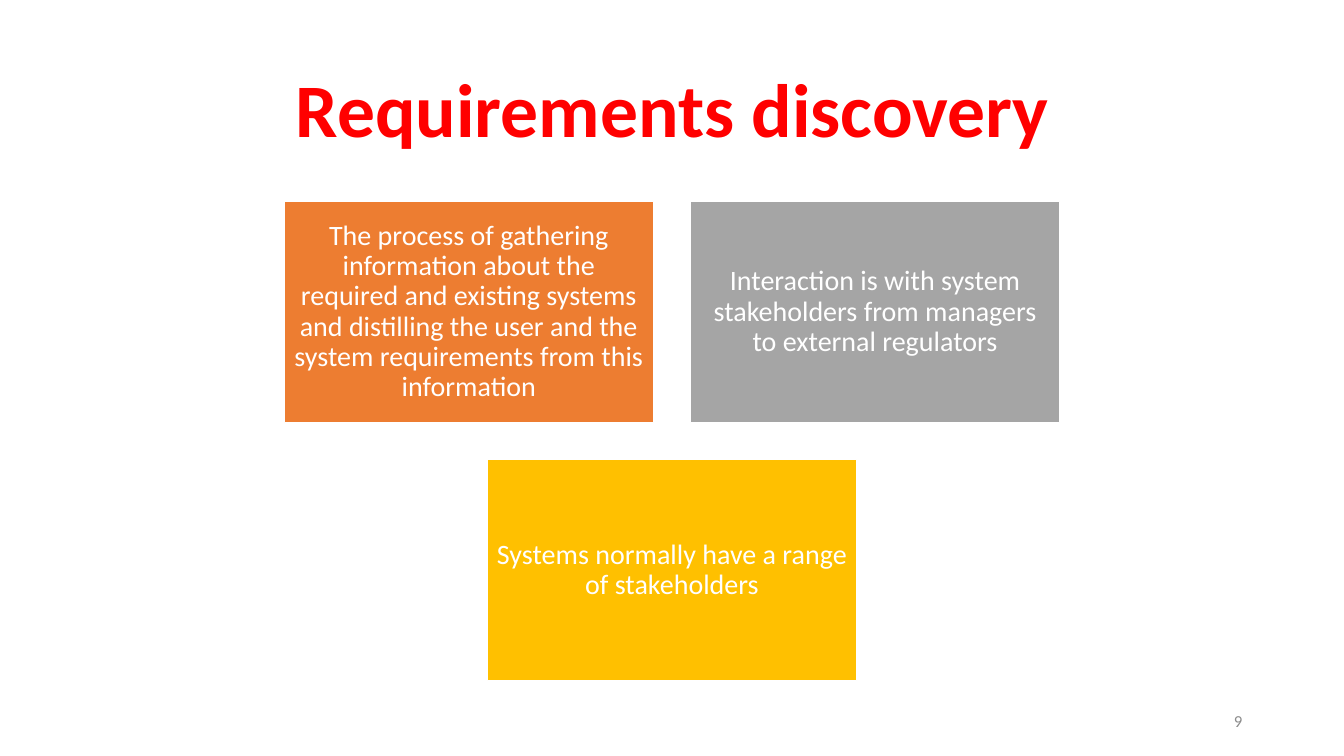
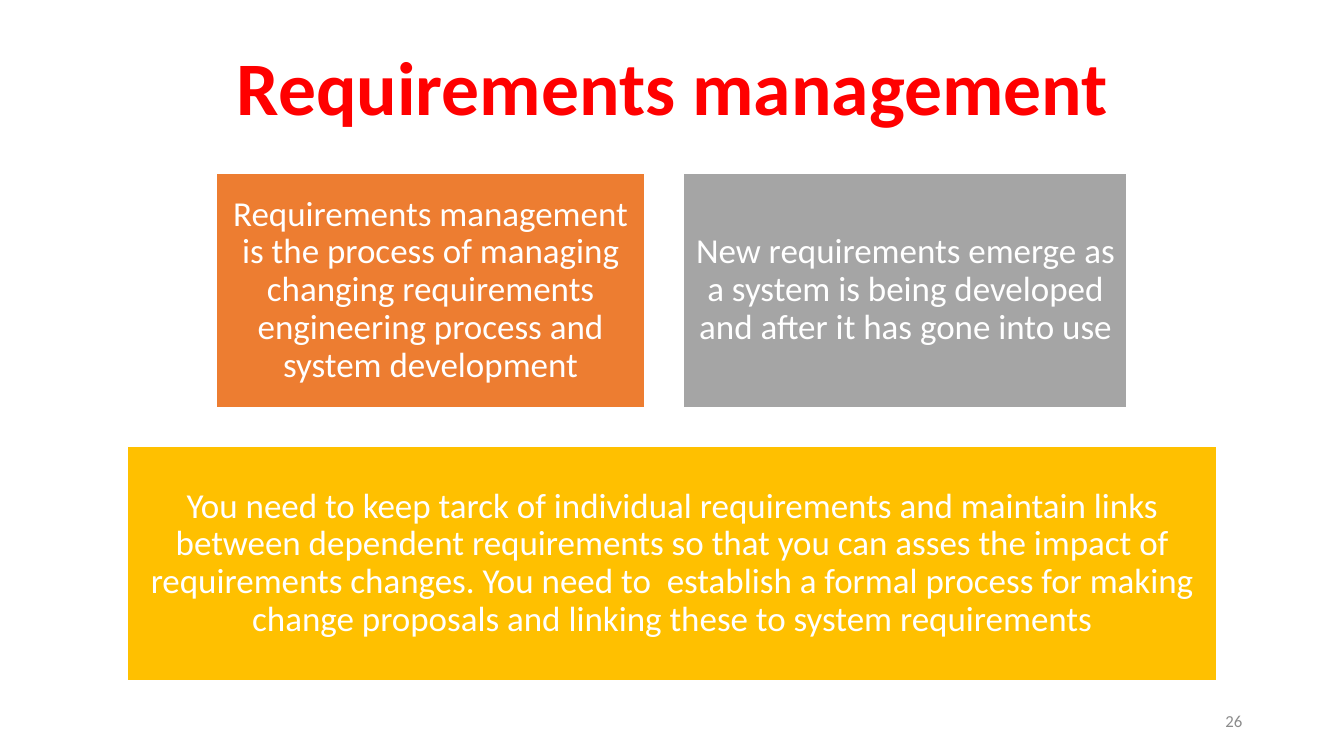
from pptx import Presentation
from pptx.dml.color import RGBColor
from pptx.enum.shapes import MSO_SHAPE
from pptx.enum.text import MSO_ANCHOR, PP_ALIGN
from pptx.util import Inches, Pt

SLIDE_WIDTH = 13.33
FONT = "Calibri"
COLORS = {
    "title": "FF0000",
    "white": "FFFFFF",
    "number": "8C8C8C",
    "orange": "ED7D31",
    "gray": "A5A5A5",
    "gold": "FFC000",
}

# Each row of boxes is centred on the slide; a box is (width, fill, text).
SLIDES = [
    {
        "title": "Requirements discovery", "title_height": 1.45, "number": "9",
        "top": 2, "box_height": 2.19, "gap": 0.37, "inset": 0.08, "size": 20,
        "rows": [
            [(3.66, "orange", "The process of gathering information about the required and "
                              "existing systems and distilling the user and the system "
                              "requirements from this information"),
             (3.66, "gray", "Interaction is with system stakeholders from managers "
                            "to external regulators")],
            [(3.66, "gold", "Systems normally have a range of stakeholders")],
        ],
    },
    {
        "title": "Requirements management", "title_height": 1, "number": "26",
        "top": 1.72, "box_height": 2.32, "gap": 0.39, "inset": 0.1, "size": 25,
        "rows": [
            [(4.24, "orange", "Requirements management is the process of managing changing "
                              "requirements engineering process and system development"),
             (4.4, "gray", "New requirements emerge as a system is being developed "
                           "and after it has gone into use")],
            [(10.81, "gold", "You need to keep tarck of individual requirements and maintain "
                             "links between dependent requirements so that you can asses the "
                             "impact of requirements changes. You need to  establish a formal "
                             "process for making change proposals and linking these to system "
                             "requirements")],
        ],
    },
]


def write_text(shape, text, size, color, align=PP_ALIGN.CENTER, bold=False, spacing=0.9):
    """Fill the shape with one vertically centred, formatted paragraph."""
    frame = shape.text_frame
    frame.text = text
    frame.word_wrap = True
    frame.vertical_anchor = MSO_ANCHOR.MIDDLE
    paragraph = frame.paragraphs[0]
    paragraph.alignment = align
    paragraph.line_spacing = spacing
    font = paragraph.runs[0].font
    font.name = FONT
    font.size = Pt(size)
    font.bold = bold
    font.color.rgb = RGBColor.from_string(COLORS[color])


presentation = Presentation()
presentation.slide_width = Inches(SLIDE_WIDTH)
presentation.slide_height = Inches(7.5)
title_only = presentation.slide_layouts[5]

for content in SLIDES:
    slide = presentation.slides.add_slide(title_only)

    title = slide.shapes.title
    title.left, title.top = Inches(0.92), Inches(0.4)
    title.width, title.height = Inches(11.5), Inches(content["title_height"])
    write_text(title, content["title"], 54, "title", bold=True)

    gap, height = content["gap"], content["box_height"]
    for row_index, row in enumerate(content["rows"]):
        top = content["top"] + row_index * (height + gap)
        row_width = sum(width for width, _, _ in row) + gap * (len(row) - 1)
        left = (SLIDE_WIDTH - row_width) / 2
        for width, fill, text in row:
            box = slide.shapes.add_shape(MSO_SHAPE.RECTANGLE, Inches(left), Inches(top),
                                         Inches(width), Inches(height))
            box.shadow.inherit = False
            box.fill.solid()
            box.fill.fore_color.rgb = RGBColor.from_string(COLORS[fill])
            box.line.color.rgb = RGBColor.from_string(COLORS["white"])
            box.line.width = Pt(1)
            frame = box.text_frame
            frame.margin_left = frame.margin_right = Inches(content["inset"])
            frame.margin_top = frame.margin_bottom = Inches(content["inset"])
            write_text(box, text, content["size"], "white")
            left += width + gap

    number = slide.shapes.add_textbox(Inches(9.42), Inches(6.95), Inches(3), Inches(0.4))
    write_text(number, content["number"], 12, "number", align=PP_ALIGN.RIGHT, spacing=1.0)

presentation.save("out.pptx")
